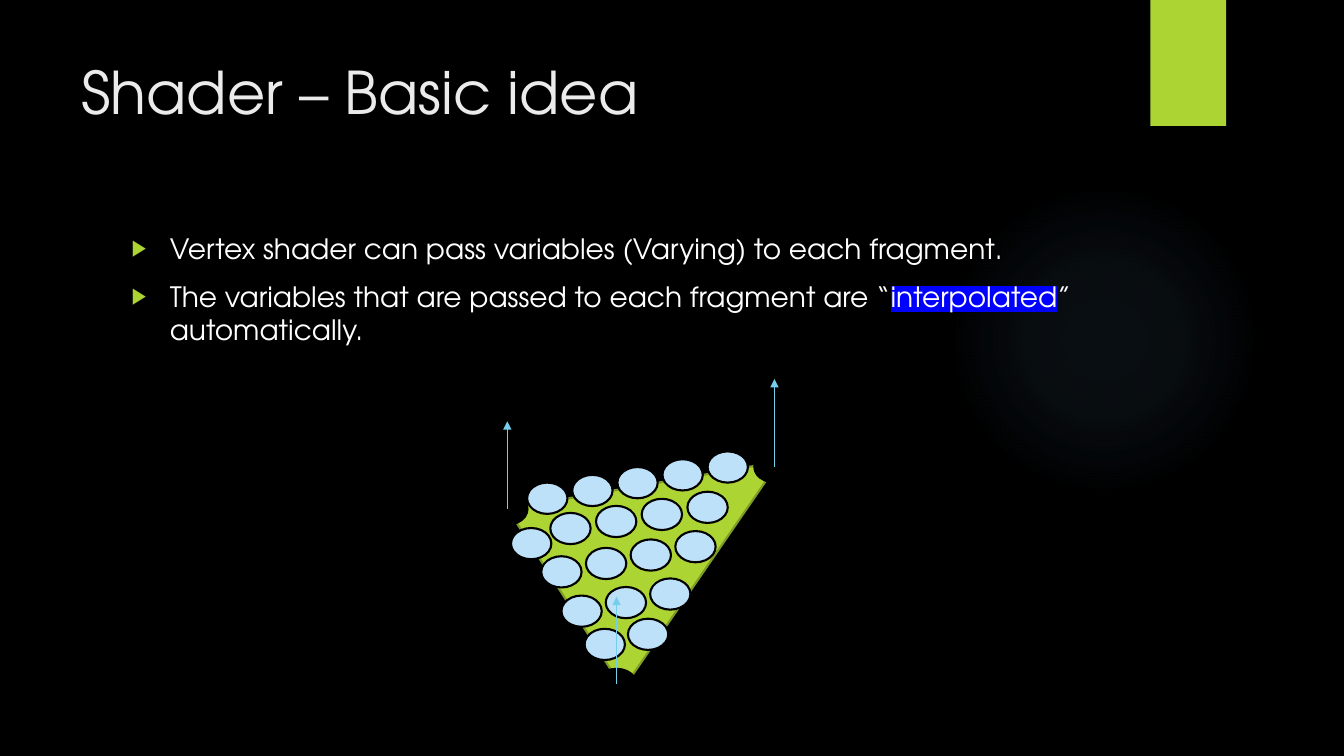
import pptx
import pptx.dml.color
import pptx.enum.shapes
import pptx.enum.text
import pptx.oxml
import pptx.oxml.ns
import pptx.util
from lxml import etree

SHAPES = pptx.enum.shapes.MSO_SHAPE
NAMESPACE = pptx.oxml.ns.nsdecls("a")
qn = pptx.oxml.ns.qn

# Grid of 40 columns by 22.5 rows, three cells to the inch
CELL = pptx.util.Inches(1) / 3
COLUMNS, ROWS = 40, 22.5
FONT = "TeX Gyre Adventor"
GREEN, DARK_GREEN, BLACK, WHITE = "ACD433", "7F9D26", "000000", "FFFFFF"
DOT_WIDTH, DOT_HEIGHT = 1.2, 0.93
ARROW_LENGTH = 2.61

# Vertex centres, then fragment rows as (count, first centre, last centre)
VERTICES = [(0.7, 3.9), (3.95, 9.12), (8.65, 2.64)]
FRAGMENT_ROWS = [
    (5, (1.89, 3.58), (7.26, 2.65)),
    (1, (1.41, 4.93), (1.41, 4.93)),
    (4, (2.58, 4.48), (6.66, 3.85)),
    (4, (2.31, 5.77), (6.3, 5.02)),
    (3, (2.91, 6.94), (5.55, 6.43)),
    (2, (3.6, 7.93), (4.89, 7.63)),
]


def grid(cells):
    return pptx.util.Emu(round(cells * CELL))


def color(value):
    return pptx.dml.color.RGBColor.from_string(value)


def add_shape(slide, kind, box, fill, line=None, rotation=0):
    shape = slide.shapes.add_shape(kind, *map(grid, box))
    shape.shadow.inherit = False
    shape.rotation = rotation
    shape.fill.solid()
    shape.fill.fore_color.rgb = color(fill)
    if line:
        shape.line.color.rgb = color(line)
        shape.line.width = pptx.util.Pt(1.5)
    else:
        shape.line.fill.background()
    return shape


def add_text_frame(slide, box):
    frame = slide.shapes.add_textbox(*map(grid, box)).text_frame
    frame.word_wrap = True
    frame.vertical_anchor = pptx.enum.text.MSO_ANCHOR.TOP
    return frame


def add_run(paragraph, text, size=20, fill=WHITE, highlight=None):
    run = paragraph.add_run()
    run.text = text
    run.font.name = FONT
    run.font.size = pptx.util.Pt(size)
    run.font.color.rgb = color(fill)
    if highlight:
        mark = pptx.oxml.parse_xml(
            f'<a:highlight {NAMESPACE}><a:srgbClr val="{highlight}"/></a:highlight>')
        run.font._element.find(qn("a:solidFill")).addnext(mark)


def add_bullet(paragraph):
    properties = paragraph._p.get_or_add_pPr()
    properties.set("marL", str(pptx.util.Inches(0.38)))
    properties.set("indent", str(-pptx.util.Inches(0.38)))
    bullet_color = etree.SubElement(properties, qn("a:buClr"))
    etree.SubElement(bullet_color, qn("a:srgbClr"), val=GREEN)
    etree.SubElement(properties, qn("a:buSzPct"), val="80000")
    etree.SubElement(properties, qn("a:buFont"), typeface="Arial")
    etree.SubElement(properties, qn("a:buChar"), char="▶")


def add_arrow(slide, left, bottom):
    start, end = (left, bottom), (left, bottom - ARROW_LENGTH)
    arrow = slide.shapes.add_connector(
        pptx.enum.shapes.MSO_CONNECTOR.STRAIGHT, *map(grid, start + end))
    arrow.line.color.rgb = color("75CEEC")
    arrow.line.width = pptx.util.Pt(0.75)
    etree.SubElement(arrow.line._get_or_add_ln(), qn("a:tailEnd"), type="triangle")
    etree.SubElement(arrow._element.spPr, qn("a:effectLst"))


def add_dot(slide, x, y, fill):
    box = (x - DOT_WIDTH / 2, y - DOT_HEIGHT / 2, DOT_WIDTH, DOT_HEIGHT)
    add_shape(slide, SHAPES.OVAL, box, fill, line=BLACK)


def draw_backdrop(slide, box):
    left, top, width, height = box
    slide.background.fill.solid()
    slide.background.fill.fore_color.rgb = color(BLACK)

    # Soft round glow that fades outwards
    glow = add_shape(slide, SHAPES.OVAL, (left + 28.23, top + 5.49, 9.24, 9.24), BLACK)
    stops = "".join(
        f'<a:gs pos="{position}000"><a:srgbClr val="7AC4F0">'
        f'<a:alpha val="{alpha}000"/></a:srgbClr></a:gs>'
        for position, alpha in [(0, 7), (36, 6), (69, 0), (100, 0)])
    gradient = pptx.oxml.parse_xml(
        f'<a:gradFill {NAMESPACE}><a:gsLst>{stops}</a:gsLst><a:path path="circle">'
        '<a:fillToRect l="50000" t="50000" r="50000" b="50000"/></a:path></a:gradFill>')
    properties = glow._element.spPr
    properties.replace(properties.find(qn("a:solidFill")), gradient)

    # Green tab at the top edge
    add_shape(slide, SHAPES.RECTANGLE, (left + 34.24, top, 2.25, height / 6), GREEN)


def draw_title(slide, box):
    paragraph = add_text_frame(slide, box).paragraphs[0]
    add_run(paragraph, "Shader – Basic idea", size=42, fill="EBEBEB")


def draw_bullets(slide, box):
    frame = add_text_frame(slide, box)
    first, second = frame.paragraphs[0], frame.add_paragraph()
    for paragraph in (first, second):
        paragraph.space_before = pptx.util.Pt(10)
        add_bullet(paragraph)
    add_run(first, "Vertex shader can pass variables (Varying) to each fragment.")
    add_run(second, "The variables that are passed to each fragment are “")
    add_run(second, "interpolated", highlight="0000FF")
    add_run(second, "” automatically.")


def draw_triangle_diagram(slide, box):
    left, top, width, height = box
    add_shape(slide, SHAPES.ISOSCELES_TRIANGLE, (left + 2.43, top + 0.75, 6.36, 7.56),
              GREEN, line=DARK_GREEN, rotation=57.3)

    # Vertices
    for x, y in VERTICES:
        add_dot(slide, left + x, top + y, BLACK)

    # Fragments spread evenly along each row
    for count, (x1, y1), (x2, y2) in FRAGMENT_ROWS:
        for index in range(count):
            share = index / max(count - 1, 1)
            add_dot(slide, left + x1 + (x2 - x1) * share,
                    top + y1 + (y2 - y1) * share, "BDE1F8")

    # Vertex arrows, in front so that no fragment hides them
    for x, y in VERTICES:
        add_arrow(slide, left + x, top + y)


def main():
    presentation = pptx.Presentation()
    presentation.slide_width = grid(COLUMNS)
    presentation.slide_height = grid(ROWS)
    slide = presentation.slides.add_slide(presentation.slide_layouts[6])
    draw_backdrop(slide, (0, 0, COLUMNS, ROWS))
    draw_title(slide, (2.13, 1.5, 30.87, 4.59))
    draw_bullets(slide, (3.62, 6.74, 29.34, 13.77))
    draw_triangle_diagram(slide, (14.4, 11.25, 9.3, 9.6))
    presentation.save("out.pptx")


if __name__ == "__main__":
    main()
